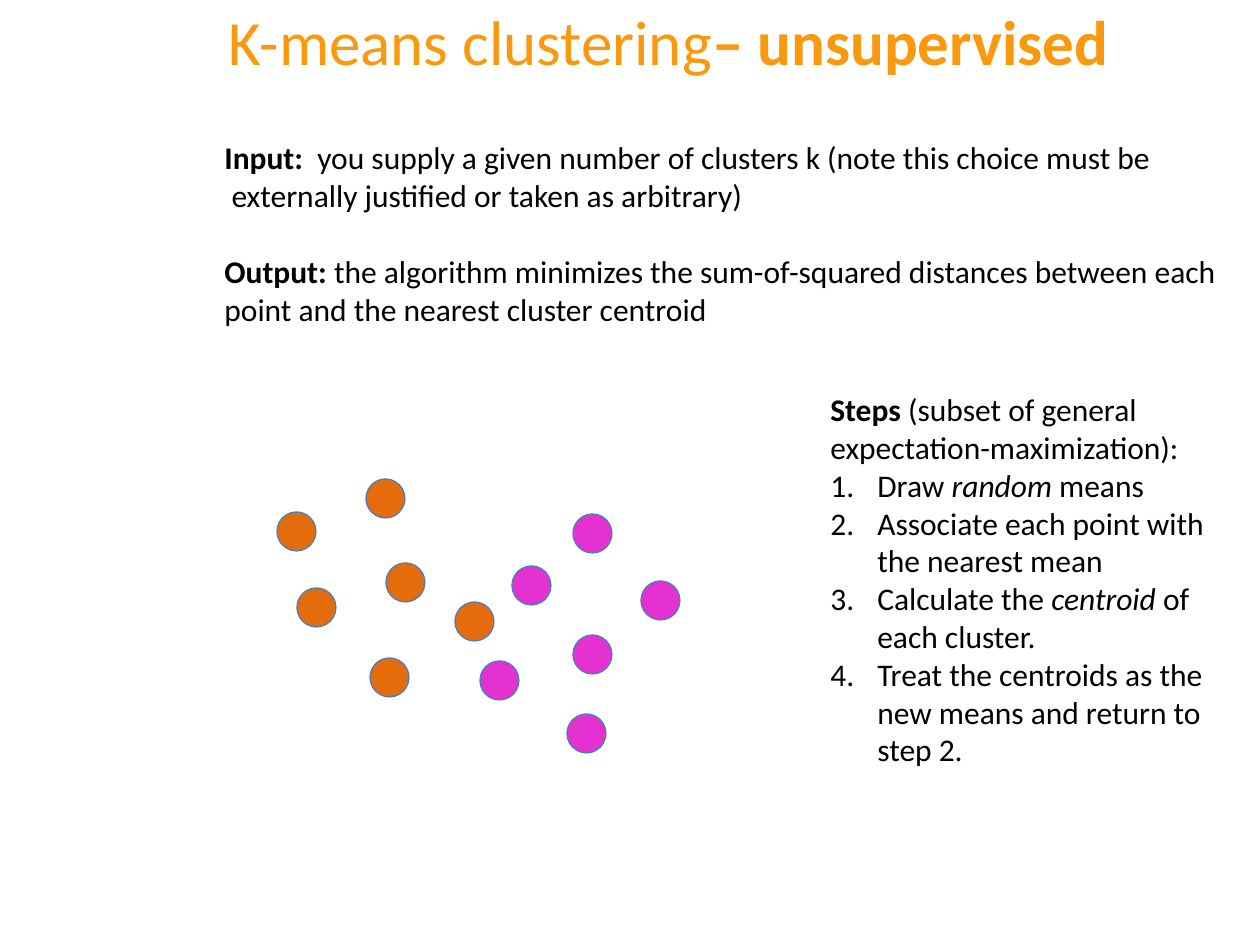
from lxml.etree import SubElement
from pptx import Presentation
from pptx.dml.color import RGBColor
from pptx.enum.shapes import MSO_SHAPE
from pptx.enum.text import MSO_ANCHOR, MSO_AUTO_SIZE, PP_ALIGN
from pptx.oxml.ns import qn
from pptx.util import Emu, Pt

PX_PER_INCH = 126
WIDTH, HEIGHT = 1260, 945
DOT = 39
STEP_INDENT = 47
BLANK_LINE = 22

TITLE = RGBColor(0xFA, 0x98, 0x0E)
BLACK = RGBColor(0x00, 0x00, 0x00)
ORANGE = RGBColor(0xE4, 0x6C, 0x0A)
PINK = RGBColor(0xE4, 0x31, 0xCF)
OUTLINE = RGBColor(0x4B, 0x7E, 0xBC)

# Left and top of each dot, by cluster
CLUSTERS = {
    ORANGE: [(277, 512), (386, 563), (297, 588), (366, 479), (370, 658), (455, 602)],
    PINK: [(573, 514), (573, 635), (512, 566), (641, 581), (480, 661), (567, 714)],
}

STEPS = [
    [("Draw ", ""), ("random ", "i"), ("means", "")],
    [("Associate each point with the nearest mean", "")],
    [("Calculate the ", ""), ("centroid ", "i"), ("of each cluster.", "")],
    [("Treat the centroids as the new means and return to step 2.", "")],
]


def px(n):
    return Emu(round(n * 914400 / PX_PER_INCH))


class Slide:
    font = "Calibri"

    def __init__(self, prs):
        self.s = prs.slides.add_slide(prs.slide_layouts[6])

    def box(self, x, y, w, h, wrap=True):
        tf = self.s.shapes.add_textbox(px(x), px(y), px(w), px(h)).text_frame
        tf.word_wrap = wrap
        return tf

    def para(self, tf, runs, size=18, color=BLACK, numbered=False, before=0):
        """Add a paragraph of (text, style) runs; style holds b and i flags."""
        first = tf.paragraphs[0]
        p = tf.add_paragraph() if first.runs else first
        if numbered:
            pPr = p._p.get_or_add_pPr()
            pPr.set("marL", str(px(STEP_INDENT)))
            pPr.set("indent", str(-px(STEP_INDENT)))
            SubElement(pPr, qn("a:buFont"), typeface="+mj-lt")
            SubElement(pPr, qn("a:buAutoNum"), type="arabicPeriod")
        if before:
            p.space_before = Pt(before)
        for text, style in runs:
            r = p.add_run()
            r.text = text
            r.font.name = self.font
            r.font.size = Pt(size)
            r.font.color.rgb = color
            r.font.bold = "b" in style
            r.font.italic = "i" in style
        return p

    def dot(self, x, y, color):
        sp = self.s.shapes.add_shape(MSO_SHAPE.OVAL, px(x), px(y), px(DOT), px(DOT))
        sp.shadow.inherit = False
        sp.fill.solid()
        sp.fill.fore_color.rgb = color
        sp.line.color.rgb = OUTLINE
        sp.line.width = Pt(0.75)


def main():
    prs = Presentation()
    prs.slide_width, prs.slide_height = px(WIDTH), px(HEIGHT)
    slide = Slide(prs)

    tf = slide.box(97, -21, 1143, 123)
    tf.vertical_anchor = MSO_ANCHOR.MIDDLE
    p = slide.para(tf, [("K-means clustering", ""), ("– unsupervised", "b")], 36, TITLE)
    p.alignment = PP_ALIGN.CENTER

    tf = slide.box(212, 132, 1028, 204, wrap=False)
    tf.auto_size = MSO_AUTO_SIZE.SHAPE_TO_FIT_TEXT
    slide.para(tf, [("Input:  ", "b"), ("you supply a given number of clusters k (note this choice must be", "")])
    slide.para(tf, [(" externally justified or taken as arbitrary)", "")])
    slide.para(tf, [("Output: ", "b"), ("the algorithm minimizes the sum-of-squared distances between each", "")],
               before=BLANK_LINE)
    slide.para(tf, [("point and the nearest cluster centroid", "")])

    for color, dots in CLUSTERS.items():
        for x, y in dots:
            slide.dot(x, y, color)

    tf = slide.box(818, 384, 401, 394)
    tf.auto_size = MSO_AUTO_SIZE.SHAPE_TO_FIT_TEXT
    slide.para(tf, [("Steps ", "b"), ("(subset of general expectation-maximization):", "")])
    for step in STEPS:
        slide.para(tf, step, numbered=True)

    prs.save("out.pptx")


if __name__ == "__main__":
    main()
